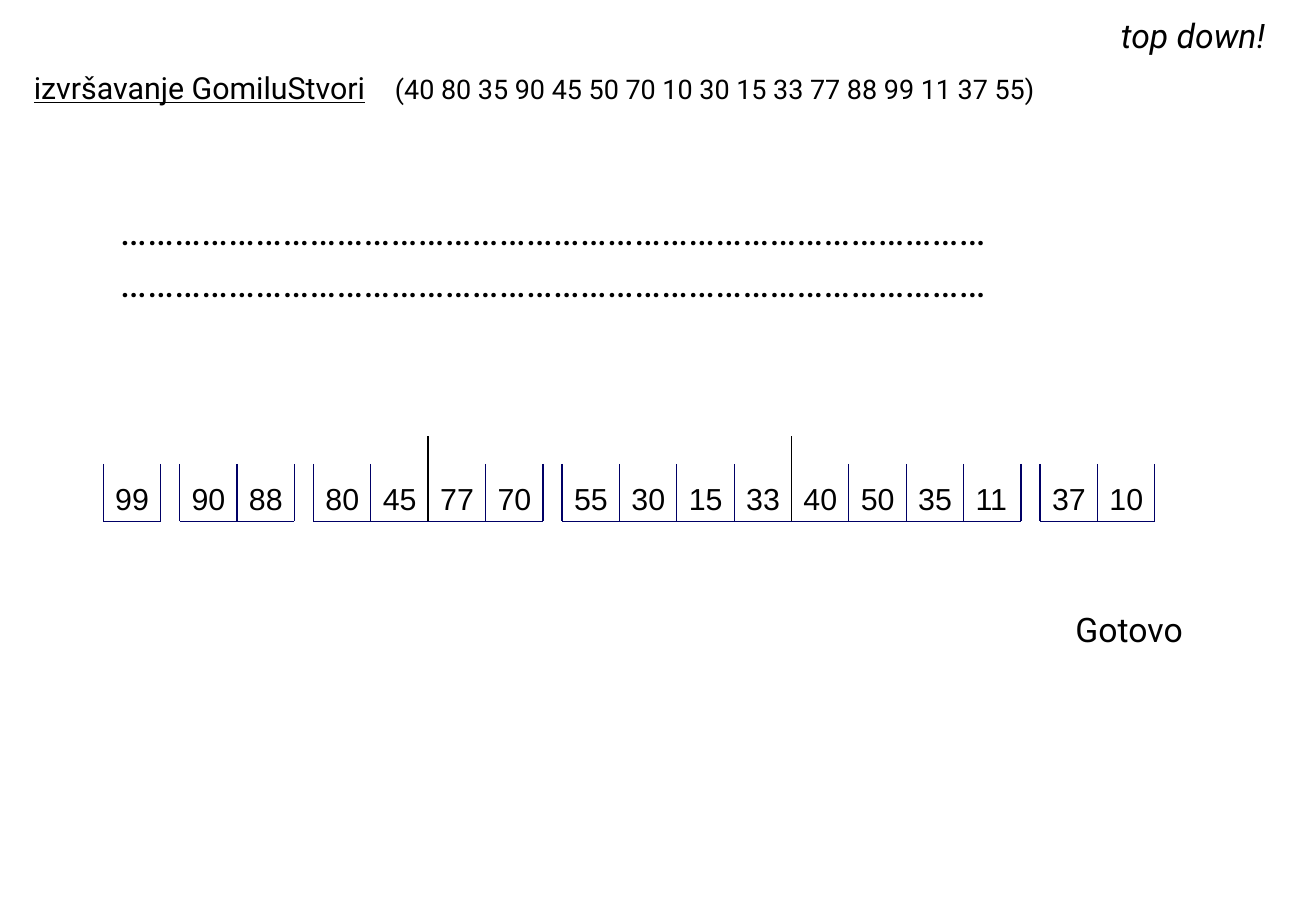
import pptx
import pptx.dml.color
import pptx.enum.shapes
import pptx.enum.text
import pptx.oxml.ns
import pptx.util
from lxml import etree

PX = 2286  # EMU per px, 400 px to the inch

THEME = {
    "ink": pptx.dml.color.RGBColor(0x00, 0x00, 0x00),
    "cell": pptx.dml.color.RGBColor(0x00, 0x00, 0x66),
    "text_font": "Roboto",
    "number_font": "Arial",
    "title": 18,
    "list": 16,
    "note": 20,
    "dots": 24,
    "number": 18,
    "cell_line": 0.75,
    "divider_line": 1,
}

deck = pptx.Presentation()
deck.slide_width, deck.slide_height = 4336 * PX, 3000 * PX
page = deck.slides.add_slide(deck.slide_layouts[6])


def add_text(text, left, top, width, height, size, font=THEME["text_font"]):
    box = page.shapes.add_textbox(left * PX, top * PX, width * PX, height * PX)
    box.text_frame.word_wrap = False
    box.text_frame.auto_size = pptx.enum.text.MSO_AUTO_SIZE.SHAPE_TO_FIT_TEXT
    box.text_frame.text = text
    para = box.text_frame.paragraphs[0]
    span = para.runs[0]
    span.font.name = font
    span.font.size = pptx.util.Pt(size)
    span.font.color.rgb = THEME["ink"]
    return para


def add_line(x1, y1, x2, y2, color, weight):
    line = page.shapes.add_connector(
        pptx.enum.shapes.MSO_CONNECTOR.STRAIGHT, x1 * PX, y1 * PX, x2 * PX, y2 * PX)
    line.line.color.rgb = color
    line.line.width = pptx.util.Pt(weight)
    etree.SubElement(line._element.spPr, pptx.oxml.ns.qn("a:effectLst"))


# Heading: underlined title, then the input list at a tab stop
heading = add_text("izvršavanje GomiluStvori", 72, 208, 3484, 160, THEME["title"])
tab_list = etree.SubElement(heading._p.get_or_add_pPr(), pptx.oxml.ns.qn("a:tabLst"))
etree.SubElement(tab_list, pptx.oxml.ns.qn("a:tab"), pos=str(1190 * PX), algn="l")
heading.runs[0].font.underline = True
input_list = heading.add_run()
input_list.text = "\t(40 80 35 90 45 50 70 10 30 15 33 77 88 99 11 37 55)"
input_list.font.name = THEME["text_font"]
input_list.font.size = pptx.util.Pt(THEME["list"])
input_list.font.color.rgb = THEME["ink"]

# Notes
direction = add_text("top down!", 3654, 28, 574, 176, THEME["note"])
direction.runs[0].font.italic = True
add_text("Gotovo", 3504, 1984, 460, 176, THEME["note"])

# Skipped steps
for dots_top in (656, 828):
    add_text("…" * 32, 356, dots_top, 3456, 200, THEME["dots"])

# Heap levels: open cells, one group per level
LEVELS = [
    [99],
    [90, 88],
    [80, 45, 77, 70],
    [55, 30, 15, 33, 40, 50, 35, 11],
    [37, 10],
]
CELL, GAP = 189, 63
CELL_TOP = 1528
FLOOR = CELL_TOP + CELL
NUMBER_TOP, DIVIDER_TOP = 1560, 1436

level_left = 340
for level in LEVELS:
    level_right = level_left + len(level) * CELL
    for wall in range(level_left, level_right + 1, CELL):
        add_line(wall, CELL_TOP, wall, FLOOR, THEME["cell"], THEME["cell_line"])
    for index, number in enumerate(level):
        left = level_left + index * CELL
        add_line(left, FLOOR, left + CELL, FLOOR, THEME["cell"], THEME["cell_line"])
        add_text(str(number), left, NUMBER_TOP, 192, 160,
                 THEME["number"], THEME["number_font"])
    # Taller divider between the two subtrees of a long level
    if len(level) >= 4:
        middle = (level_left + level_right) // 2
        add_line(middle, FLOOR, middle, DIVIDER_TOP, THEME["ink"], THEME["divider_line"])
    level_left = level_right + GAP

deck.save("out.pptx")
